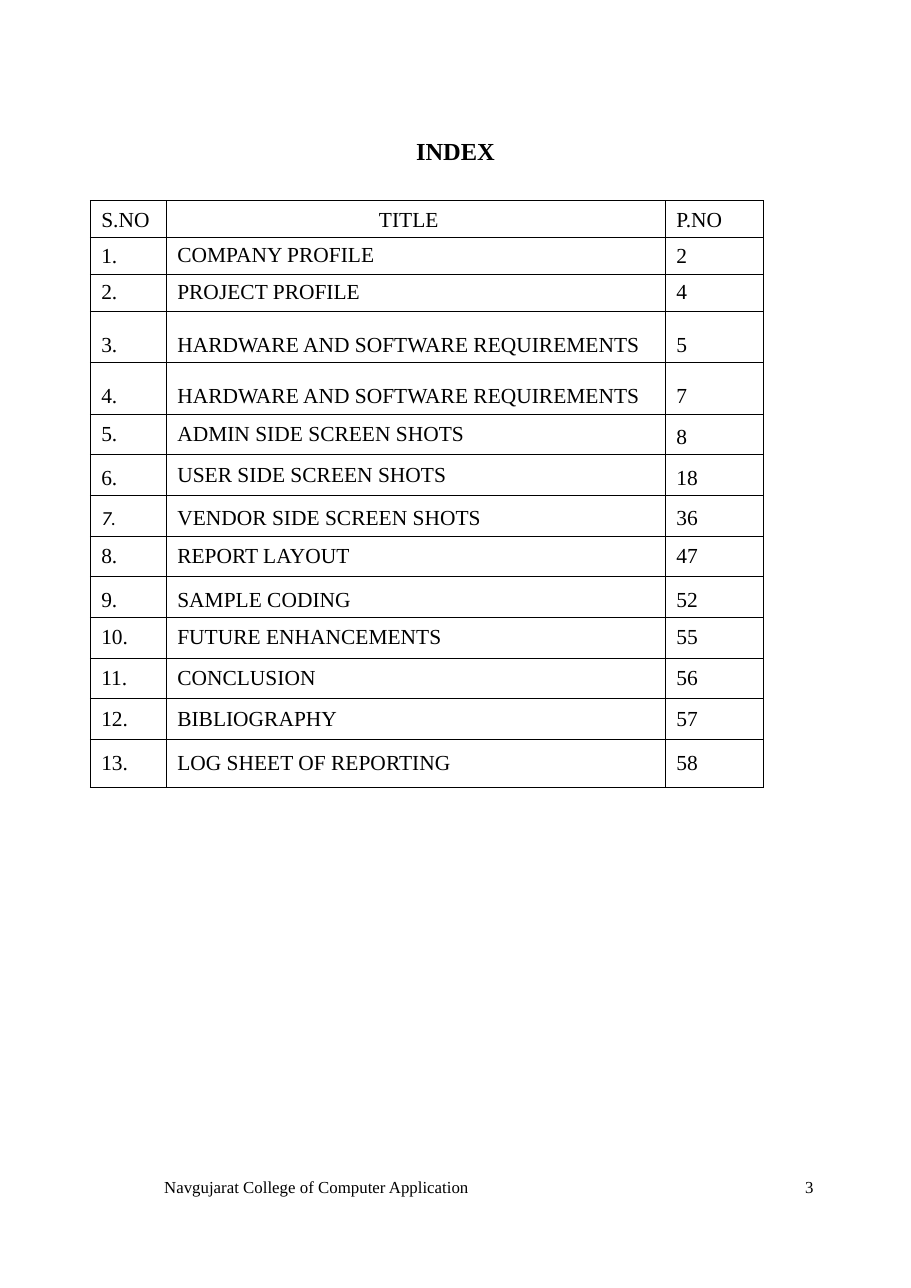
from lxml.etree import SubElement
from pptx import Presentation
from pptx.dml.color import RGBColor
from pptx.enum.text import MSO_ANCHOR, PP_ALIGN
from pptx.oxml.ns import qn
from pptx.util import Pt

BLACK = "000000"
BODY = {"name": "Times New Roman", "size": Pt(14), "bold": False, "italic": False}
HEADING = {**BODY, "size": Pt(16), "bold": True}
FOOTER = {**BODY, "size": Pt(11)}
SLANTED = {**BODY, "name": "Calibri", "size": Pt(13), "italic": True}
SLANTED_DOT = {**SLANTED, "size": Pt(12)}

TEXTS = [
    ("INDEX", 270.7, 88.6, 54, 13.7, HEADING, PP_ALIGN.CENTER),
    ("Navgujarat College of Computer Application", 107.3, 769, 201.6, 13, FOOTER, PP_ALIGN.LEFT),
    ("3", 526.3, 769, 7.2, 10, FOOTER, PP_ALIGN.LEFT),
]

ANCHORS = {"b": MSO_ANCHOR.BOTTOM, "m": MSO_ANCHOR.MIDDLE}
ROWS = [
    ("S.NO", "TITLE", "P.NO", "bbb", 23.7),
    ("1.", "COMPANY PROFILE", "2", "bmb", 23.7),
    ("2.", "PROJECT PROFILE", "4", "mmm", 24.5),
    ("3.", "HARDWARE AND SOFTWARE REQUIREMENTS", "5", "bbb", 33.5),
    ("4.", "HARDWARE AND SOFTWARE REQUIREMENTS", "7", "bbb", 33.5),
    ("5.", "ADMIN SIDE SCREEN SHOTS", "8", "mmb", 26.6),
    ("6.", "USER SIDE SCREEN SHOTS", "18", "bmb", 26.6),
    ([("7", SLANTED), (".", SLANTED_DOT)], "VENDOR SIDE SCREEN SHOTS", "36", "bbb", 26.6),
    ("8.", "REPORT LAYOUT", "47", "mmm", 26.6),
    ("9.", "SAMPLE CODING", "52", "bbb", 26.6),
    ("10.", "FUTURE ENHANCEMENTS", "55", "mmm", 26.6),
    ("11.", "CONCLUSION", "56", "mmm", 26.6),
    ("12.", "BIBLIOGRAPHY", "57", "mmm", 26.6),
    ("13.", "LOG SHEET OF REPORTING", "58", "mmm", 31),
]
WIDTHS = [49.7, 326.2, 64.1]
TABLE_LEFT, TABLE_TOP = 59, 131
TITLE_INDENT = 131.8
BORDER = 0.45


def color(value):
    return RGBColor.from_string(value)


def add_run(p, text, style):
    r = p.add_run()
    r.text = text
    for key, value in style.items():
        setattr(r.font, key, value)
    r.font.color.rgb = color(BLACK)


def add_text(s, text, left, top, width, height, style, align):
    tf = s.shapes.add_textbox(Pt(left), Pt(top), Pt(width), Pt(height)).text_frame
    for side in ("left", "top", "right", "bottom"):
        setattr(tf, "margin_" + side, 0)
    tf.word_wrap = False
    p = tf.paragraphs[0]
    p.alignment = align
    add_run(p, text, style)


def add_borders(cell):
    tcPr = cell._tc.get_or_add_tcPr()
    for tag in ("a:lnL", "a:lnR", "a:lnT", "a:lnB"):
        ln = SubElement(tcPr, qn(tag), w=str(Pt(BORDER)))
        fill = SubElement(ln, qn("a:solidFill"))
        SubElement(fill, qn("a:srgbClr"), val=BLACK)


def add_index(s):
    height = sum(row[-1] for row in ROWS)
    frame = s.shapes.add_table(len(ROWS), len(WIDTHS), Pt(TABLE_LEFT), Pt(TABLE_TOP),
                               Pt(sum(WIDTHS)), Pt(height))
    table = frame.table
    table.first_row = table.horz_banding = False
    for column, width in zip(table.columns, WIDTHS):
        column.width = Pt(width)
    for row, (*contents, anchors, row_height) in zip(table.rows, ROWS):
        row.height = Pt(row_height)
        for cell, content, anchor in zip(row.cells, contents, anchors):
            add_borders(cell)
            cell.fill.background()
            cell.vertical_anchor = ANCHORS[anchor]
            runs = [(content, BODY)] if isinstance(content, str) else content
            for text, style in runs:
                add_run(cell.text_frame.paragraphs[0], text, style)
    pPr = table.cell(0, 1).text_frame.paragraphs[0]._p.get_or_add_pPr()
    pPr.set("marL", str(Pt(TITLE_INDENT)))


def main():
    prs = Presentation()
    prs.slide_width, prs.slide_height = Pt(595.44), Pt(841.68)
    s = prs.slides.add_slide(prs.slide_layouts[6])
    for text in TEXTS:
        add_text(s, *text)
    add_index(s)
    prs.save("out.pptx")


if __name__ == "__main__":
    main()
